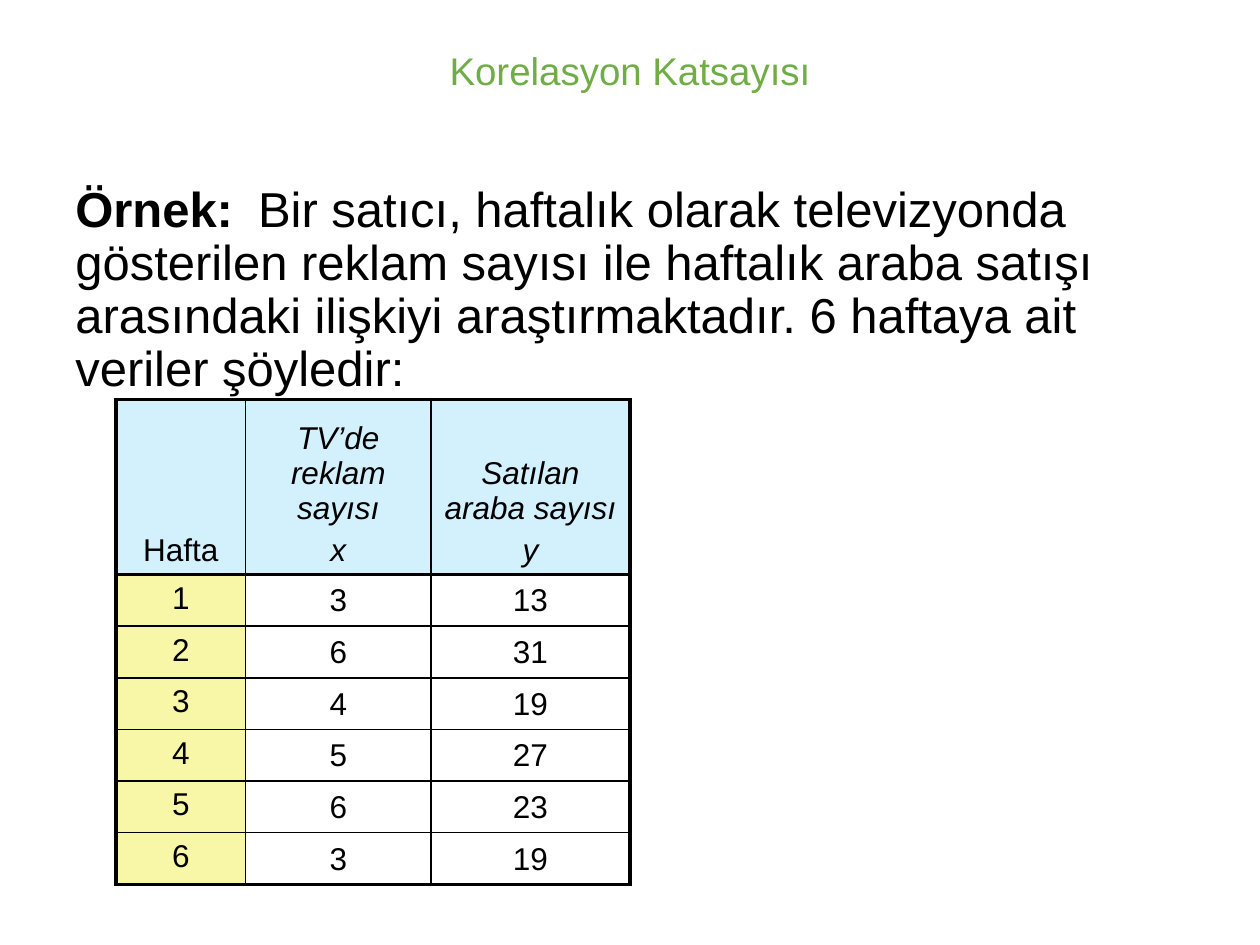
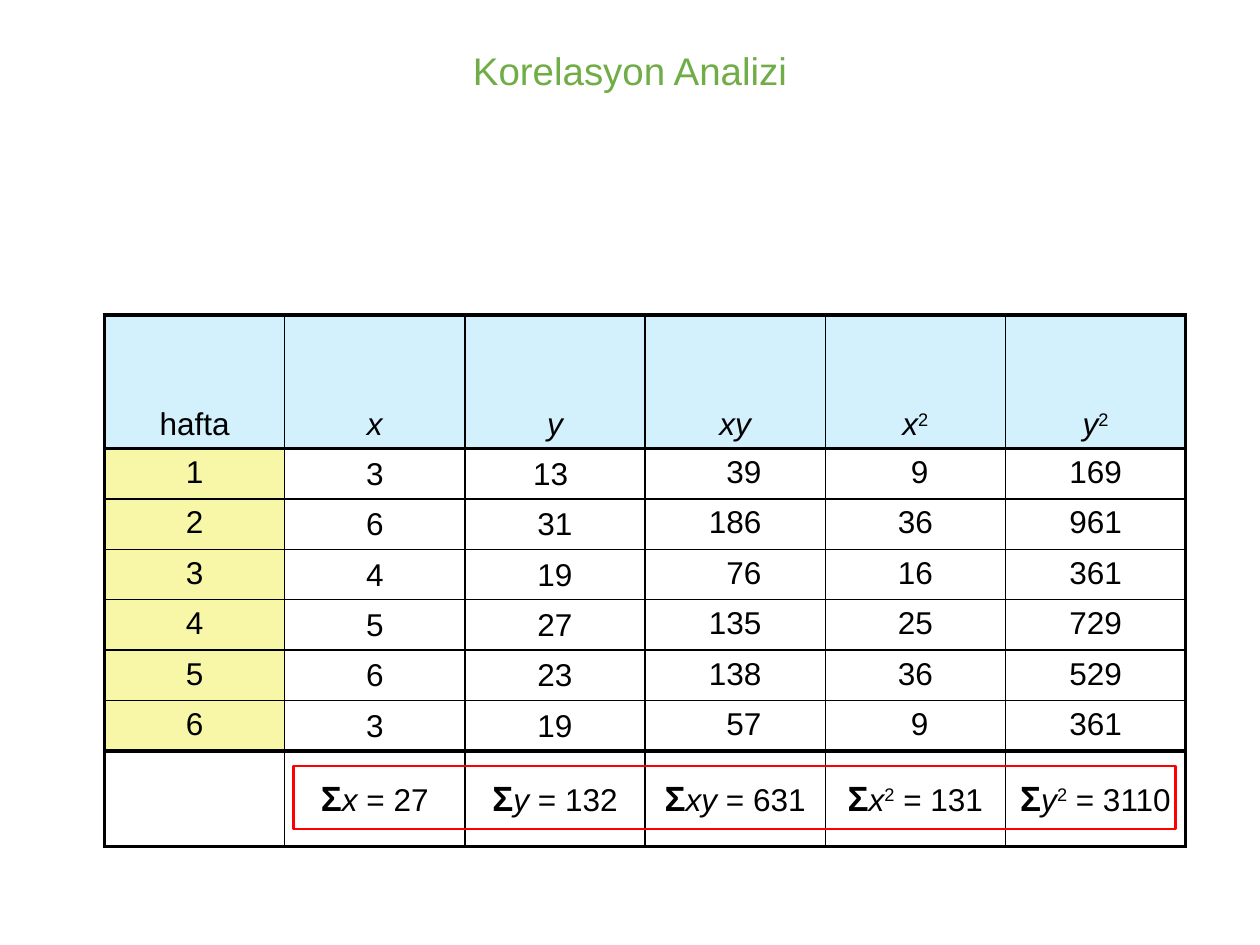
import pptx
import pptx.dml.color
import pptx.enum.shapes
import pptx.enum.text
import pptx.oxml.ns
import pptx.util
from lxml import etree

Inches, Pt = pptx.util.Inches, pptx.util.Pt
ALIGN, ANCHOR = pptx.enum.text.PP_ALIGN, pptx.enum.text.MSO_ANCHOR
qn = pptx.oxml.ns.qn

GREEN, BLACK, RED = "70AD47", "000000", "FF0000"
HEADER_BLUE, WEEK_YELLOW = "D3F0FD", "F7F7A7"
THIN, THICK = 1, 2.25

PLAIN = {"name": "Arial", "size": Pt(18), "bold": False, "italic": False}
VARIABLE = PLAIN | {"italic": True}
SIGMA = PLAIN | {"size": Pt(20), "bold": True}
TITLE = PLAIN | {"size": Pt(22)}
BODY = PLAIN | {"size": Pt(28)}
LEAD = BODY | {"bold": True}

ROOMY = {"margin_left": Inches(0.1), "margin_right": Inches(0.1),
         "margin_top": Inches(0.05), "margin_bottom": Inches(0.05)}
TIGHT = {"margin_left": Inches(0.01), "margin_right": Inches(0.01),
         "margin_top": Inches(0.01), "margin_bottom": 0}
SPACE = 0.07


def color(hex_text):
    return pptx.dml.color.RGBColor.from_string(hex_text)


def assign(target, values):
    for name, value in values.items():
        setattr(target, name, value)


def box(left, top, width, height):
    return {"left": Inches(left), "top": Inches(top),
            "width": Inches(width), "height": Inches(height)}


class Deck:
    def __init__(self):
        self.show = pptx.Presentation()
        self.show.slide_width, self.show.slide_height = Inches(10), Inches(7.5)
        self.slide = None

    def add_runs(self, paragraph, runs, ink=BLACK):
        for text, style, *baseline in runs:
            run = paragraph.add_run()
            run.text = text
            assign(run.font, style)
            run.font.color.rgb = color(ink)
            if baseline:
                run._r.get_or_add_rPr().set("baseline", baseline[0])

    def new_slide(self, heading):
        self.slide = self.show.slides.add_slide(self.show.slide_layouts[5])
        title = self.slide.shapes.title
        assign(title, box(0.69, 0.08, 8.62, 1))
        assign(title.text_frame, ROOMY | {
            "vertical_anchor": ANCHOR.MIDDLE, "word_wrap": True,
            "auto_size": pptx.enum.text.MSO_AUTO_SIZE.NONE})
        paragraph = title.text_frame.paragraphs[0]
        assign(paragraph, {"alignment": ALIGN.CENTER, "line_spacing": 0.9})
        self.add_runs(paragraph, [(heading, TITLE)], GREEN)

    def body(self, place, runs, tab):
        frame = self.slide.shapes.add_textbox(**place).text_frame
        assign(frame, ROOMY | {"word_wrap": True})
        paragraph = frame.paragraphs[0]
        paragraph.line_spacing = 0.9
        tabs = etree.SubElement(paragraph._p.get_or_add_pPr(), qn("a:tabLst"))
        etree.SubElement(tabs, qn("a:tab"), pos=str(Inches(tab)), algn="l")
        self.add_runs(paragraph, runs)

    def borders(self, cell, widths):
        properties = cell._tc.get_or_add_tcPr()
        for side in "LRTB":
            line = etree.SubElement(properties, qn(f"a:ln{side}"), w=str(Pt(widths[side])))
            fill = etree.SubElement(line, qn("a:solidFill"))
            etree.SubElement(fill, qn("a:srgbClr"), val=BLACK)

    def cell(self, cell, paragraphs, fill, layout):
        assign(cell, layout)
        if fill:
            cell.fill.solid()
            cell.fill.fore_color.rgb = color(fill)
        else:
            cell.fill.background()
        for index, runs in enumerate(paragraphs):
            paragraph = cell.text_frame.add_paragraph() if index else cell.text_frame.paragraphs[0]
            paragraph.alignment = ALIGN.CENTER
            if index:
                paragraph.space_before = Pt(3.6)
            self.add_runs(paragraph, runs)

    def week_table(self, left, top, widths, heights, headers, columns, totals=None, nudges=None):
        rows = [headers] + [[[[(str(value), PLAIN)]] for value in row] for row in zip(*columns)]
        last_week = len(rows) - 1
        if totals:
            rows.append(totals)
        thick_rules = {0, 1, last_week + 1, len(rows)}
        table = self.slide.shapes.add_table(
            len(rows), len(widths), **box(left, top, sum(widths), sum(heights))).table
        assign(table, {"first_row": False, "horz_banding": False})
        for column, width in zip(table.columns, widths):
            column.width = Inches(width)
        for row, height in zip(table.rows, heights):
            row.height = Inches(height)
        for r, row in enumerate(rows):
            for c, paragraphs in enumerate(row):
                fill, anchor, margins = None, ANCHOR.MIDDLE, ROOMY
                if r == 0:
                    fill, anchor = HEADER_BLUE, ANCHOR.BOTTOM
                elif r <= last_week:
                    if c in (1, 2):
                        margins = TIGHT
                    else:
                        anchor = ANCHOR.TOP
                        fill = WEEK_YELLOW if c == 0 else None
                side, spaces = (nudges or {}).get((r, c), ("margin_left", 0))
                layout = margins | {"vertical_anchor": anchor,
                                    side: margins[side] + Inches(spaces * SPACE)}
                self.borders(table.cell(r, c), {
                    "L": THICK if c == 0 else THIN,
                    "R": THICK if c == len(widths) - 1 else THIN,
                    "T": THICK if r in thick_rules else THIN,
                    "B": THICK if r + 1 in thick_rules else THIN})
                self.cell(table.cell(r, c), paragraphs, fill, layout)

    def frame(self, place, ink):
        outline = self.slide.shapes.add_shape(
            pptx.enum.shapes.MSO_SHAPE.RECTANGLE, **place)
        outline.shadow.inherit = False
        outline.fill.background()
        outline.line.color.rgb = color(ink)
        outline.line.width = Pt(1.5)


def symbol(letters, squared):
    return [(letters, VARIABLE)] + ([("2", PLAIN, "30000")] if squared else [])


def main():
    deck = Deck()
    ads = [3, 6, 4, 5, 6, 3]
    sales = [13, 31, 19, 27, 23, 19]
    weeks = range(1, len(ads) + 1)

    deck.new_slide("Korelasyon Katsayısı")
    deck.body(box(0.5, 1.42, 9, 5.42), [
        ("Örnek:\t", LEAD),
        ("Bir satıcı, haftalık olarak televizyonda gösterilen reklam sayısı ile "
         "haftalık araba satışı arasındaki ilişkiyi araştırmaktadır. "
         "6 haftaya ait veriler şöyledir:", BODY)], tab=1.45)
    deck.week_table(
        0.92, 3.17, [1.03, 1.47, 1.58], [1.39] + [0.41] * len(weeks),
        [[[("Hafta", PLAIN)]],
         [[("TV’de reklam sayısı", VARIABLE)], symbol("x", False)],
         [[("Satılan araba sayısı", VARIABLE)], symbol("y", False)]],
        [weeks, ads, sales])

    deck.new_slide("Korelasyon Analizi")
    products = [x * y for x, y in zip(ads, sales)]
    ads_squared = [x * x for x in ads]
    sales_squared = [y * y for y in sales]
    measures = [("x", False, ads), ("y", False, sales), ("xy", False, products),
                ("x", True, ads_squared), ("y", True, sales_squared)]
    nudges = {(1, 2): ("margin_right", 1)}
    for r in weeks:
        if products[r - 1] < 100:
            nudges[r, 3] = ("margin_left", 2)
        if ads_squared[r - 1] < 10:
            nudges[r, 4] = ("margin_left", 1)
    deck.week_table(
        0.83, 2.5, [1.43] * 6, [1.06] + [0.4] * len(weeks) + [0.76],
        [[[("hafta", PLAIN)]]] + [[symbol(letters, squared)] for letters, squared, _ in measures],
        [weeks] + [values for *_, values in measures],
        [[]] + [[[("Σ", SIGMA), *symbol(letters, squared), (f" = {sum(values)}", PLAIN)]]
                for letters, squared, values in measures],
        nudges)
    deck.frame(box(2.33, 6.08, 7, 0.5), RED)

    deck.show.save("out.pptx")


if __name__ == "__main__":
    main()
